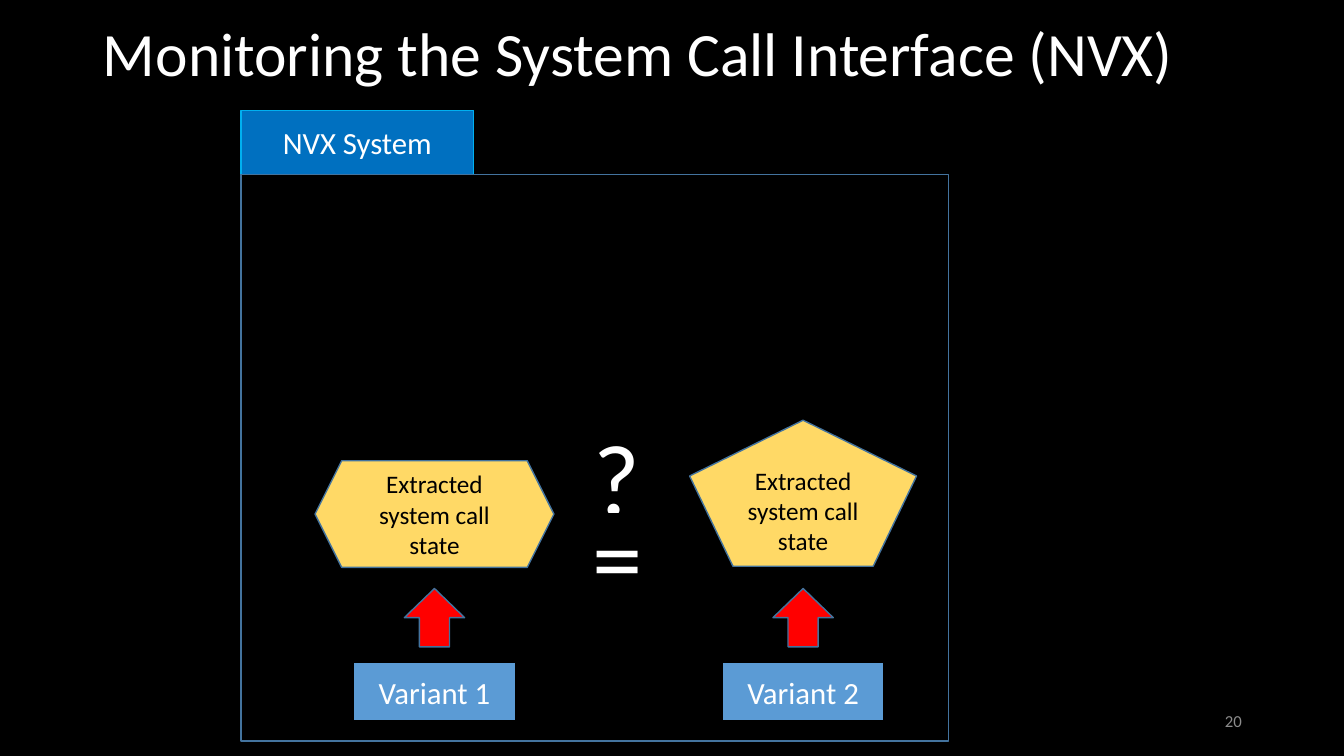
from dataclasses import dataclass

from pptx import Presentation
from pptx.dml.color import RGBColor
from pptx.enum.shapes import MSO_SHAPE
from pptx.enum.text import MSO_ANCHOR, MSO_AUTO_SIZE, PP_ALIGN
from pptx.util import Cm, Pt


@dataclass(frozen=True)
class Theme:
    font: str = "Calibri"
    background: str = "000000"
    light_text: str = "FFFFFF"
    dark_text: str = "000000"
    number_text: str = "8C8C8C"
    outline: str = "43739E"
    variant: str = "5B9BD5"
    state: str = "FFD966"
    arrow: str = "FF0000"
    tab: str = "0070C0"
    tab_outline: str = "00B0F0"
    title_size: int = 44
    mark_size: int = 72
    label_size: int = 22
    state_size: int = 18
    number_size: int = 12


class SlideBuilder:
    def __init__(self, slide, theme):
        self.slide = slide
        self.theme = theme
        background = slide.background.fill
        background.solid()
        background.fore_color.rgb = RGBColor.from_string(theme.background)

    def set_text(self, frame, text, size, color, align):
        frame.text = text
        frame.word_wrap = True
        frame.auto_size = MSO_AUTO_SIZE.NONE
        frame.vertical_anchor = MSO_ANCHOR.MIDDLE
        paragraph = frame.paragraphs[0]
        paragraph.alignment = align
        paragraph.font.name = self.theme.font
        paragraph.font.size = Pt(size)
        paragraph.font.color.rgb = RGBColor.from_string(color)
        return paragraph

    def title(self, text, left, top, width, height):
        title = self.slide.shapes.title
        title.left, title.top = Cm(left), Cm(top)
        title.width, title.height = Cm(width), Cm(height)
        paragraph = self.set_text(title.text_frame, text, self.theme.title_size,
                                  self.theme.light_text, PP_ALIGN.LEFT)
        paragraph.line_spacing = 0.9

    def page_number(self, text, left, top, width, height):
        box = self.slide.shapes.add_textbox(Cm(left), Cm(top), Cm(width), Cm(height))
        self.set_text(box.text_frame, text, self.theme.number_size,
                      self.theme.number_text, PP_ALIGN.RIGHT)

    def shape(self, kind, left, top, width, height, fill=None, line=None,
              text="", size=None, color=None):
        """Add a preset shape; without fill or line that part stays empty."""
        shape = self.slide.shapes.add_shape(kind, Cm(left), Cm(top), Cm(width), Cm(height))
        shape.shadow.inherit = False
        if fill:
            shape.fill.solid()
            shape.fill.fore_color.rgb = RGBColor.from_string(fill)
        else:
            shape.fill.background()
        if line:
            shape.line.color.rgb = RGBColor.from_string(line)
            shape.line.width = Pt(1)
        else:
            shape.line.fill.background()
        if text:
            self.set_text(shape.text_frame, text, size or self.theme.label_size,
                          color or self.theme.light_text, PP_ALIGN.CENTER)

    def comparison_mark(self, text, top, height):
        self.shape(MSO_SHAPE.RECTANGLE, 13.46, top, 4.19, height,
                   fill=self.theme.background, text=text, size=self.theme.mark_size)

    def variant(self, name, center, state_kind, state_top, state_width, state_height):
        """Stack a variant label, an upward arrow and its extracted state."""
        theme = self.theme
        self.shape(MSO_SHAPE.RECTANGLE, center - 2.04, 16.7, 4.08, 1.47,
                   theme.variant, theme.background, name)
        self.shape(MSO_SHAPE.UP_ARROW, center - 0.76, 14.83, 1.52, 1.47,
                   theme.arrow, theme.outline)
        self.shape(state_kind, center - state_width / 2, state_top, state_width,
                   state_height, theme.state, theme.outline,
                   "Extracted system call state", theme.state_size, theme.dark_text)


def main():
    presentation = Presentation()
    presentation.slide_width, presentation.slide_height = Cm(33.87), Cm(19.05)
    title_only = presentation.slide_layouts[5]
    theme = Theme()
    builder = SlideBuilder(presentation.slides.add_slide(title_only), theme)

    builder.title("Monitoring the System Call Interface (NVX)", 2.34, 0.08, 29.21, 2.69)
    builder.page_number("20", 23.93, 17.65, 7.62, 1.02)

    builder.comparison_mark("?", 10.64, 2.69)
    builder.comparison_mark("=", 12.93, 2.08)
    builder.variant("Variant 1", 10.95, MSO_SHAPE.HEXAGON, 11.61, 6.02, 2.69)
    builder.variant("Variant 2", 20.24, MSO_SHAPE.REGULAR_PENTAGON, 10.59, 5.72, 3.68)

    system_left, system_top = 6.07, 4.4
    tab_height = 1.62
    builder.shape(MSO_SHAPE.RECTANGLE, system_left, system_top - tab_height, 5.87,
                  tab_height, theme.tab, theme.tab_outline, "NVX System")
    builder.shape(MSO_SHAPE.RECTANGLE, system_left, system_top, 17.83, 14.27,
                  line=theme.outline)

    presentation.save("out.pptx")


if __name__ == "__main__":
    main()
